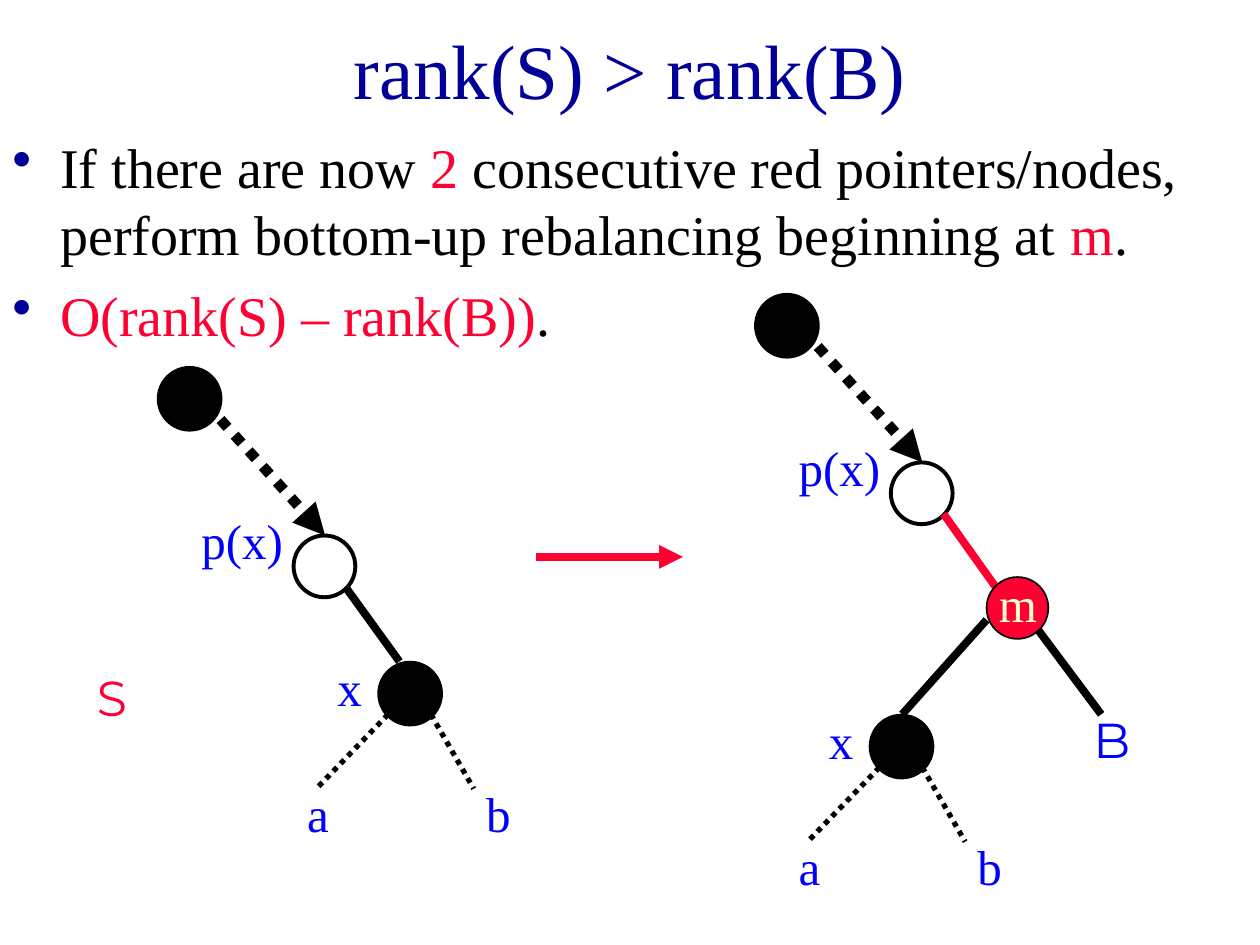
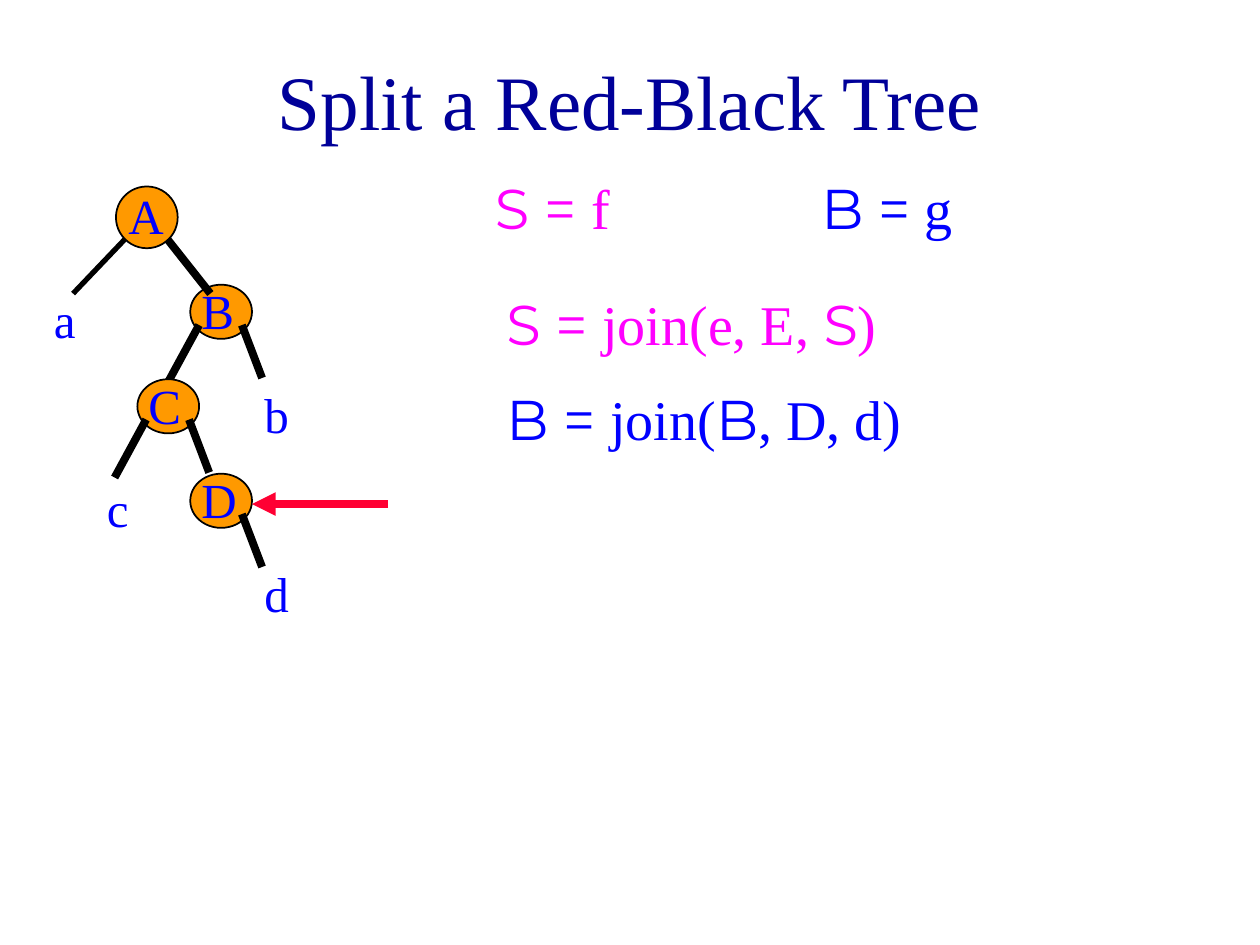
from dataclasses import dataclass
from typing import NamedTuple, Optional

from lxml.etree import SubElement
from pptx import Presentation
from pptx.dml.color import RGBColor
from pptx.enum.dml import MSO_LINE
from pptx.enum.shapes import MSO_CONNECTOR, MSO_SHAPE
from pptx.enum.text import MSO_ANCHOR, MSO_AUTO_SIZE, PP_ALIGN
from pptx.oxml.ns import qn
from pptx.util import Inches, Pt

# Shared style
SERIF = "Times New Roman"
SANS = "Montserrat"
NAVY, BLUE, RED, BLACK = "000099", "0000FF", "FF0033", "000000"
PINK, ORANGE, CREAM = "FF00FF", "FF9900", "FFFFCC"
SIZE = 0.49  # node width


class Run(NamedTuple):
    text: str
    color: str = BLUE
    font: str = SERIF


class Point(NamedTuple):
    x: float
    y: float


@dataclass(frozen=True)
class Node:
    x: float
    y: float
    fill: Optional[str] = BLACK
    weight: float = 2.25
    height: float = SIZE


@dataclass(frozen=True)
class Edge:
    start: Point
    end: Point
    weight: float = 4.5
    color: str = BLACK
    dotted: bool = False
    arrow: bool = False


@dataclass(frozen=True)
class Label:
    x: float
    y: float
    runs: tuple[Run, ...]
    width: float = 0.5
    height: float = 0.57
    size: float = 28


@dataclass(frozen=True)
class Branch:
    name: str
    x: float
    y: float
    left: bool = True
    right: bool = True


def rgb(color: str) -> RGBColor:
    return RGBColor.from_string(color)


def add_run(para, run: Run, size: float) -> None:
    part = para.add_run()
    part.text = run.text
    part.font.name = run.font
    part.font.size = Pt(size)
    part.font.color.rgb = rgb(run.color)


def add_slide(deck, title: str, height: float):
    slide = deck.slides.add_slide(deck.slide_layouts[5])
    head = slide.shapes.title
    head.left, head.top = Inches(0.75), Inches(0.17)
    head.width, head.height = Inches(8.5), Inches(height)
    frame = head.text_frame
    frame.auto_size = MSO_AUTO_SIZE.NONE
    frame.vertical_anchor = MSO_ANCHOR.MIDDLE
    para = frame.paragraphs[0]
    para.alignment = PP_ALIGN.CENTER
    add_run(para, Run(title, NAVY), 44)
    return slide


def add_box(slide, x: float, y: float, width: float, height: float):
    box = slide.shapes.add_textbox(Inches(x), Inches(y), Inches(width), Inches(height))
    box.text_frame.word_wrap = True
    return box.text_frame


def add_label(slide, label: Label, dx: float = 0, dy: float = 0) -> None:
    frame = add_box(slide, label.x + dx, label.y + dy, label.width, label.height)
    for run in label.runs:
        add_run(frame.paragraphs[0], run, label.size)


def add_node(slide, node: Node, dx: float = 0, dy: float = 0) -> None:
    disc = slide.shapes.add_shape(
        MSO_SHAPE.OVAL, Inches(node.x + dx), Inches(node.y + dy),
        Inches(SIZE), Inches(node.height))
    disc.shadow.inherit = False
    if node.fill:
        disc.fill.solid()
        disc.fill.fore_color.rgb = rgb(node.fill)
    else:
        disc.fill.background()
    disc.line.color.rgb = rgb(BLACK)
    disc.line.width = Pt(node.weight)


def add_edge(slide, edge: Edge, dx: float = 0, dy: float = 0) -> None:
    link = slide.shapes.add_connector(
        MSO_CONNECTOR.STRAIGHT,
        Inches(edge.start.x + dx), Inches(edge.start.y + dy),
        Inches(edge.end.x + dx), Inches(edge.end.y + dy))
    link.line.color.rgb = rgb(edge.color)
    link.line.width = Pt(edge.weight)
    if edge.dotted:
        link.line.dash_style = MSO_LINE.ROUND_DOT
    props = link.element.spPr
    if edge.arrow:
        SubElement(props.find(qn("a:ln")), qn("a:tailEnd"), type="triangle")
    SubElement(props, qn("a:effectLst"))


DRAW = {Node: add_node, Edge: add_edge, Label: add_label}


def draw(slide, parts: tuple, dx: float = 0, dy: float = 0) -> None:
    for part in parts:
        DRAW[type(part)](slide, part, dx, dy)


def add_bullets(slide, items: tuple) -> None:
    frame = add_box(slide, 0, 1, 9.67, 1.83)
    for index, runs in enumerate(items):
        para = frame.add_paragraph() if index else frame.paragraphs[0]
        props = para._p.get_or_add_pPr()
        props.set("marL", str(Inches(0.38)))
        props.set("indent", str(-Inches(0.38)))
        tint = SubElement(props, qn("a:buClr"))
        SubElement(tint, qn("a:srgbClr"), val=NAVY)
        SubElement(props, qn("a:buChar"), char="•")
        if index:
            para.space_before = Pt(8)
        for run in runs:
            add_run(para, run, 32)


# Tree parts that both sides of the join slide share
SPINE = (
    Node(1.26, 2.92),
    Node(2.33, 4.25, None),
    Label(1.5, 4, (Run("p(x)"),), 1),
    Edge(Point(1.75, 3.33), Point(2.58, 4.25), 6, dotted=True, arrow=True),
)
CHILD = (
    Node(3.01, 5.26),
    Edge(Point(3.08, 5.67), Point(2.51, 6.26), 3, dotted=True),
    Edge(Point(3.42, 5.67), Point(3.76, 6.26), 3, dotted=True),
    Label(2.34, 6.17, (Run("a"),)),
    Label(3.76, 6.17, (Run("b"),)),
    Label(2.58, 5.17, (Run("x"),)),
)
BULLETS = (
    (Run("If there are now ", BLACK), Run("2", RED),
     Run(" consecutive red pointers/nodes, perform bottom-up rebalancing beginning at ", BLACK),
     Run("m", RED), Run(".", BLACK)),
    (Run("O(rank(S) – rank(B))", RED), Run(".", BLACK)),
)


def join_slide(deck) -> None:
    slide = add_slide(deck, "rank(S) > rank(B)", 0.75)
    add_bullets(slide, BULLETS)
    # Tree before the join
    draw(slide, SPINE)
    draw(slide, CHILD)
    draw(slide, (
        Edge(Point(2.75, 4.67), Point(3.17, 5.25)),
        Label(0.67, 5.25, (Run("S", RED, SANS),), 1.17),
        Edge(Point(4.25, 4.42), Point(5.42, 4.42), color=RED, arrow=True),
    ))
    # Tree after the join
    draw(slide, SPINE, 4.74, -0.58)
    draw(slide, CHILD, 3.9, 0.42)
    draw(slide, (
        Edge(Point(7.49, 4.08), Point(7.91, 4.67), color=RED),
        Node(7.83, 4.58, RED, 1),
        Edge(Point(8.24, 5), Point(8.74, 5.67)),
        Label(7.83, 4.5, (Run("m", CREAM),)),
        Edge(Point(7.83, 4.92), Point(7.16, 5.67)),
        Label(8.58, 5.58, (Run("B", BLUE, SANS),)),
    ))


def add_branch(slide, branch: Branch) -> None:
    parts = [Node(0, 0, ORANGE, 1, 0.43)]
    if branch.left:
        parts.append(Edge(Point(0.07, 0.32), Point(-0.18, 0.78)))
    if branch.right:
        parts.append(Edge(Point(0.41, 0.32), Point(0.57, 0.74)))
    parts.append(Label(-0.01, -0.08, (Run(branch.name),)))
    draw(slide, tuple(parts), branch.x, branch.y)


def split_slide(deck) -> None:
    slide = add_slide(deck, "Split a Red-Black Tree", 1.25)
    # Inner nodes, then the root over them
    for branch in (Branch("B", 1.51, 2.26), Branch("C", 1.09, 3.01),
                   Branch("D", 1.51, 3.76, left=False)):
        add_branch(slide, branch)
    draw(slide, (
        Node(0.92, 1.48, ORANGE, 1),
        Edge(Point(1.33, 1.9), Point(1.67, 2.33)),
        Edge(Point(0.99, 1.9), Point(0.58, 2.33), 3),
        Label(0.92, 1.42, (Run("A"),)),
    ))
    # Subtrees
    for name, x, y in (("a", 0.33, 2.25), ("b", 2, 3), ("c", 0.75, 3.75), ("d", 2, 4.42)):
        add_label(slide, Label(x, y, (Run(name),)))
    add_edge(slide, Edge(Point(3.08, 4), Point(2, 4), color=RED, arrow=True))
    # Split steps
    small, big = Run("S = ", PINK, SANS), Run("B = ", BLUE, SANS)
    steps = (
        (3.83, 1.33, 2, (small, Run("f", PINK))),
        (6.42, 1.33, 2, (Run("B =", BLUE, SANS), Run(" g"))),
        (3.92, 2.25, 5.42, (small, Run("join(e, E, ", PINK),
                            Run("S", PINK, SANS), Run(")", PINK))),
        (3.92, 3, 5.42, (big, Run("join("), Run("B", BLUE, SANS), Run(", D, d)"))),
    )
    for x, y, width, runs in steps:
        add_label(slide, Label(x, y, runs, width, 0.64, 32))


def main() -> None:
    deck = Presentation()
    deck.slide_width, deck.slide_height = Inches(10), Inches(7.5)
    join_slide(deck)
    split_slide(deck)
    deck.save("out.pptx")


if __name__ == "__main__":
    main()
